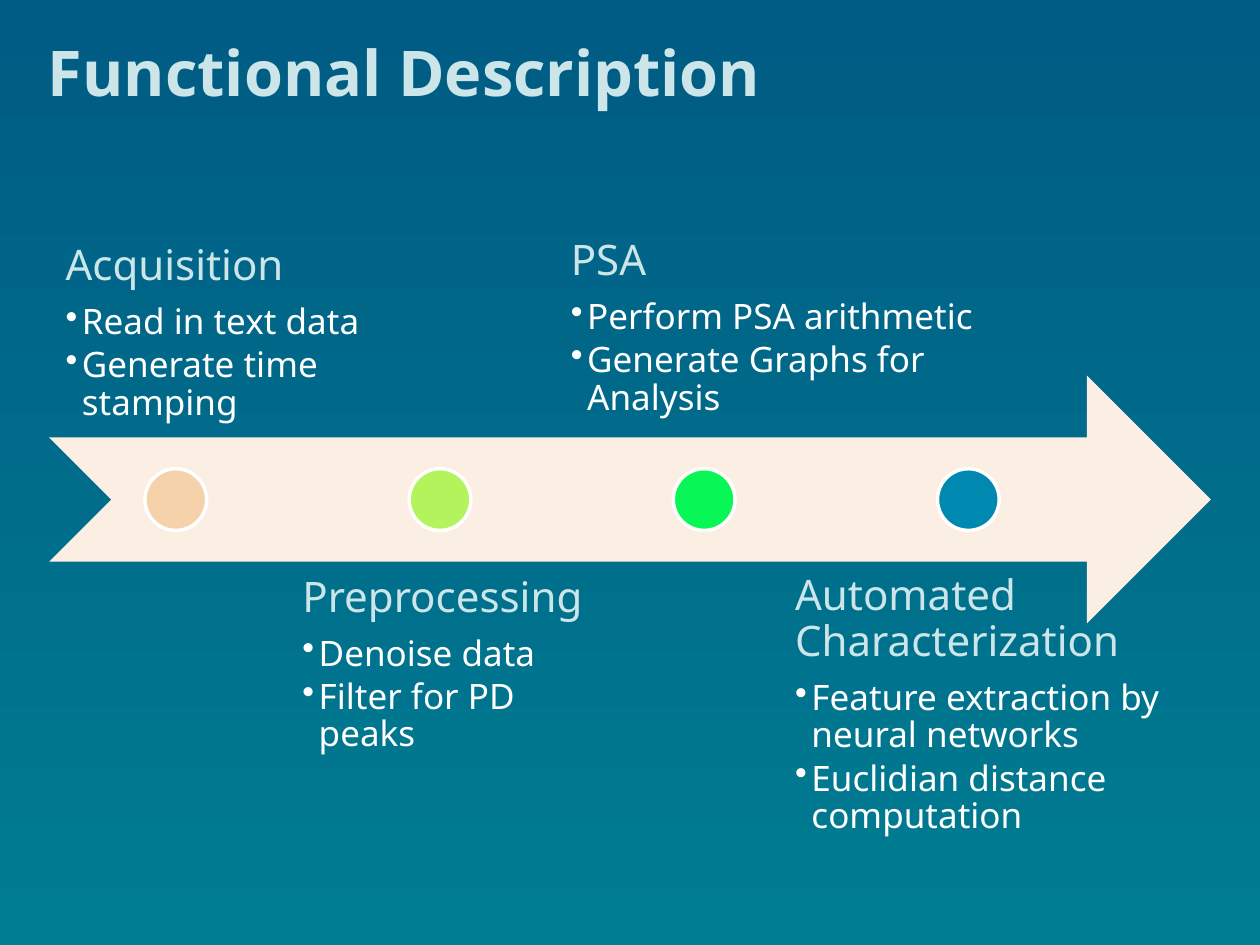
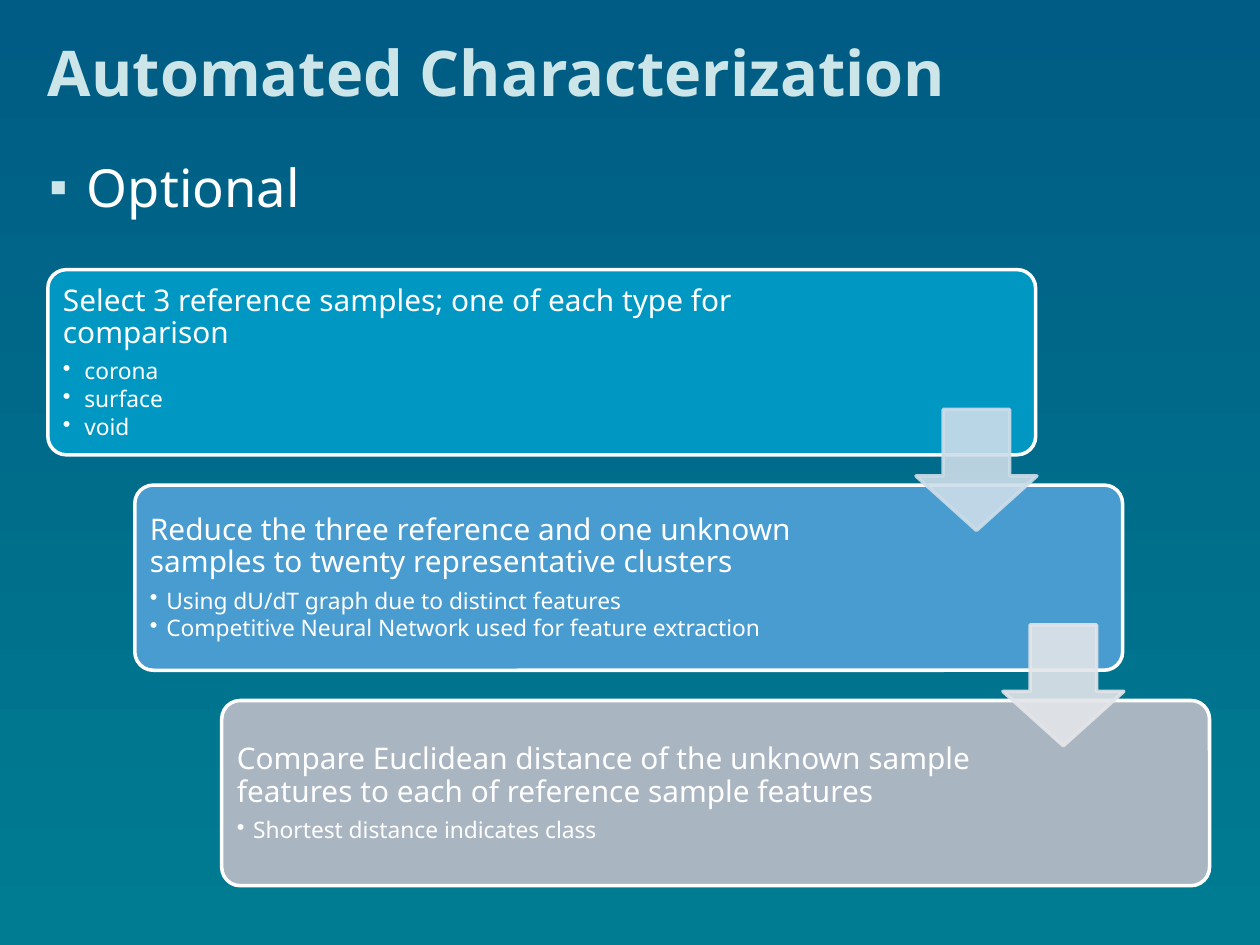
from dataclasses import dataclass
from typing import Optional

from lxml.etree import SubElement
from pptx import Presentation
from pptx.dml.color import RGBColor
from pptx.enum.shapes import MSO_SHAPE as Preset
from pptx.enum.text import MSO_ANCHOR as Anchor, MSO_AUTO_SIZE as AutoSize, PP_ALIGN as Align
from pptx.oxml.ns import qn
from pptx.util import Inches, Pt

# Shared look
FONT = "Noto Sans"
WHITE = "FFFFFF"
PALE = "CCE5E9"
BACKGROUND = ("005C84", "007C92")
BULLET_INDENT = 0.13


@dataclass(frozen=True)
class Box:
    left: float
    top: float
    width: float
    height: float

    def inches(self) -> tuple:
        return tuple(Inches(v) for v in (self.left, self.top, self.width, self.height))


@dataclass(frozen=True)
class TextStyle:
    heading_size: int
    bullet_size: int
    heading_color: str
    inset: float


@dataclass(frozen=True)
class Stage:
    box: Box
    anchor: Anchor
    heading: str
    bullets: tuple
    dot_color: str


@dataclass(frozen=True)
class Step:
    color: str
    text_width: float
    heading: str
    bullets: tuple
    indent: float = BULLET_INDENT
    arrow_color: Optional[str] = None


TITLE_BOX = Box(0.38, 0.12, 9.22, 0.75)
FIRST_DOT, LAST_DOT = 1.15, 7.44
STAGE_TEXT = TextStyle(24, 20, PALE, 0.12)
STEP_TEXT = TextStyle(17, 13, WHITE, 0.07)

STAGES = (
    Stage(Box(0.4, 1.51, 2.75, 1.97), Anchor.BOTTOM, "Acquisition",
          ("Read in text data", "Generate time stamping"), "F6D2AA"),
    Stage(Box(2.28, 4.45, 2.76, 1.97), Anchor.TOP, "Preprocessing",
          ("Denoise data", "Filter for PD peaks"), "B3F45C"),
    Stage(Box(4.41, 1.47, 3.58, 1.97), Anchor.BOTTOM, "PSA",
          ("Perform PSA arithmetic", "Generate Graphs for Analysis"), "09F756"),
    Stage(Box(6.19, 4.44, 3.42, 1.97), Anchor.TOP, "Automated Characterization",
          ("Feature extraction by neural networks", "Euclidian distance computation"),
          "0089B0"),
)

STEPS = (
    Step("0098C3", 6.26, "Select 3 reference samples; one of each type for comparison",
         ("corona", "surface", "void"), indent=0.17, arrow_color="CCDDE9"),
    Step("499CCF", 6.11,
         "Reduce the three reference and one unknown samples to twenty representative clusters",
         ("Using dU/dT graph due to distinct features",
          "Competitive Neural Network used for feature extraction"), arrow_color="E3E5E9"),
    Step("AAB5C2", 6.11,
         "Compare Euclidean distance of the unknown sample features to each of "
         "reference sample features",
         ("Shortest distance indicates class",)),
)


def rgb(color: str) -> RGBColor:
    return RGBColor.from_string(color)


def add_run(paragraph, text: str, size: int, color: str, bold: bool = False) -> None:
    run = paragraph.add_run()
    run.text = text
    run.font.name = FONT
    run.font.size = Pt(size)
    run.font.bold = bold
    run.font.color.rgb = rgb(color)


def set_bullet(paragraph, char: str, indent: float, color: str) -> None:
    properties = paragraph._p.get_or_add_pPr()
    properties.set("marL", str(Inches(indent)))
    properties.set("indent", str(-Inches(indent)))
    bullet_color = SubElement(properties, qn("a:buClr"))
    SubElement(bullet_color, qn("a:srgbClr"), val=color)
    SubElement(properties, qn("a:buChar"), char=char)


def set_frame(frame, inset: float, anchor: Anchor) -> None:
    frame.word_wrap = True
    frame.auto_size = AutoSize.NONE
    frame.vertical_anchor = anchor
    frame.margin_left = frame.margin_right = Inches(inset)
    frame.margin_top = frame.margin_bottom = Inches(inset)


def place(shape, box: Box) -> None:
    shape.left, shape.top, shape.width, shape.height = box.inches()


def add_titled_slide(prs, layout: int, title: str):
    slide = prs.slides.add_slide(prs.slide_layouts[layout])
    heading = slide.shapes.title
    place(heading, TITLE_BOX)
    set_frame(heading.text_frame, 0, Anchor.BOTTOM)
    paragraph = heading.text_frame.paragraphs[0]
    paragraph.alignment = Align.LEFT
    add_run(paragraph, title, 36, PALE, bold=True)
    return slide


def add_preset(slide, preset: Preset, box: Box, fill: str, line: Optional[str] = None,
               adjustments: tuple = (), opacity: int = 100) -> None:
    shape = slide.shapes.add_shape(preset, *box.inches())
    shape.shadow.inherit = False
    shape.fill.solid()
    shape.fill.fore_color.rgb = rgb(fill)
    if line:
        shape.line.color.rgb = rgb(line)
        shape.line.width = Pt(2)
    else:
        shape.line.fill.background()
    for index, value in enumerate(adjustments):
        shape.adjustments[index] = value
    if opacity < 100:
        for color in shape._element.spPr.iter(qn("a:srgbClr")):
            SubElement(color, qn("a:alpha"), val=str(opacity * 1000))


def add_heading_with_bullets(slide, box: Box, anchor: Anchor, style: TextStyle, heading: str,
                             bullets: tuple, indent: float = BULLET_INDENT) -> None:
    frame = slide.shapes.add_textbox(*box.inches()).text_frame
    set_frame(frame, style.inset, anchor)
    first = frame.paragraphs[0]
    first.line_spacing = 0.9
    first.space_after = Pt(round(style.heading_size * 0.35, 1))
    add_run(first, heading, style.heading_size, style.heading_color)
    for bullet in bullets:
        paragraph = frame.add_paragraph()
        set_bullet(paragraph, "•", indent, WHITE)
        paragraph.line_spacing = 0.9
        paragraph.space_after = Pt(round(style.bullet_size * 0.15, 1))
        add_run(paragraph, bullet, style.bullet_size, WHITE)


def build_functional_description(prs) -> None:
    slide = add_titled_slide(prs, 5, "Functional Description")
    # Timeline arrow with one dot per stage
    add_preset(slide, Preset.NOTCHED_RIGHT_ARROW, Box(0.39, 2.98, 9.22, 1.97), "FBEEE2")
    dot_step = (LAST_DOT - FIRST_DOT) / (len(STAGES) - 1)
    for index, stage in enumerate(STAGES):
        dot = Box(FIRST_DOT + dot_step * index, 3.72, 0.49, 0.49)
        add_preset(slide, Preset.OVAL, dot, stage.dot_color, WHITE)
    # Stage texts, alternating above and below
    for stage in STAGES:
        add_heading_with_bullets(slide, stage.box, stage.anchor, STAGE_TEXT,
                                 stage.heading, stage.bullets)


def build_automated_characterization(prs) -> None:
    slide = add_titled_slide(prs, 1, "Automated Characterization")
    # Body line
    body = slide.placeholders[1]
    place(body, Box(0.39, 1.23, 9.22, 5.55))
    set_frame(body.text_frame, 0, Anchor.TOP)
    paragraph = body.text_frame.paragraphs[0]
    set_bullet(paragraph, "▪", 0.3, PALE)
    paragraph.space_before = Pt(0)
    add_run(paragraph, "Optional", 30, WHITE)
    # Staircase of cards
    offsets = [(0.69 * index, 1.71 * index) for index in range(len(STEPS))]
    for step, (right, down) in zip(STEPS, offsets):
        card = Box(0.38 + right, 2.14 + down, 7.84, 1.47)
        add_preset(slide, Preset.ROUNDED_RECTANGLE, card, step.color, WHITE, (0.1,))
        text = Box(card.left + 0.05, card.top + 0.05, step.text_width, 1.38)
        add_heading_with_bullets(slide, text, Anchor.MIDDLE, STEP_TEXT,
                                 step.heading, step.bullets, step.indent)
    # Arrows leading to the next card
    for step, (right, down) in zip(STEPS, offsets):
        if step.arrow_color:
            arrow = Box(7.27 + right, 3.25 + down, 0.96, 0.96)
            add_preset(slide, Preset.DOWN_ARROW, arrow, step.arrow_color, step.arrow_color,
                       (0.55, 0.45), opacity=90)


def main() -> None:
    prs = Presentation()
    prs.slide_width, prs.slide_height = Inches(10), Inches(7.5)
    # Gradient shared by every slide
    fill = prs.slide_master.background.fill
    fill.gradient()
    fill.gradient_angle = 270
    for stop, color in zip(fill.gradient_stops, BACKGROUND):
        stop.color.rgb = rgb(color)
    build_functional_description(prs)
    build_automated_characterization(prs)
    prs.save("out.pptx")


if __name__ == "__main__":
    main()
